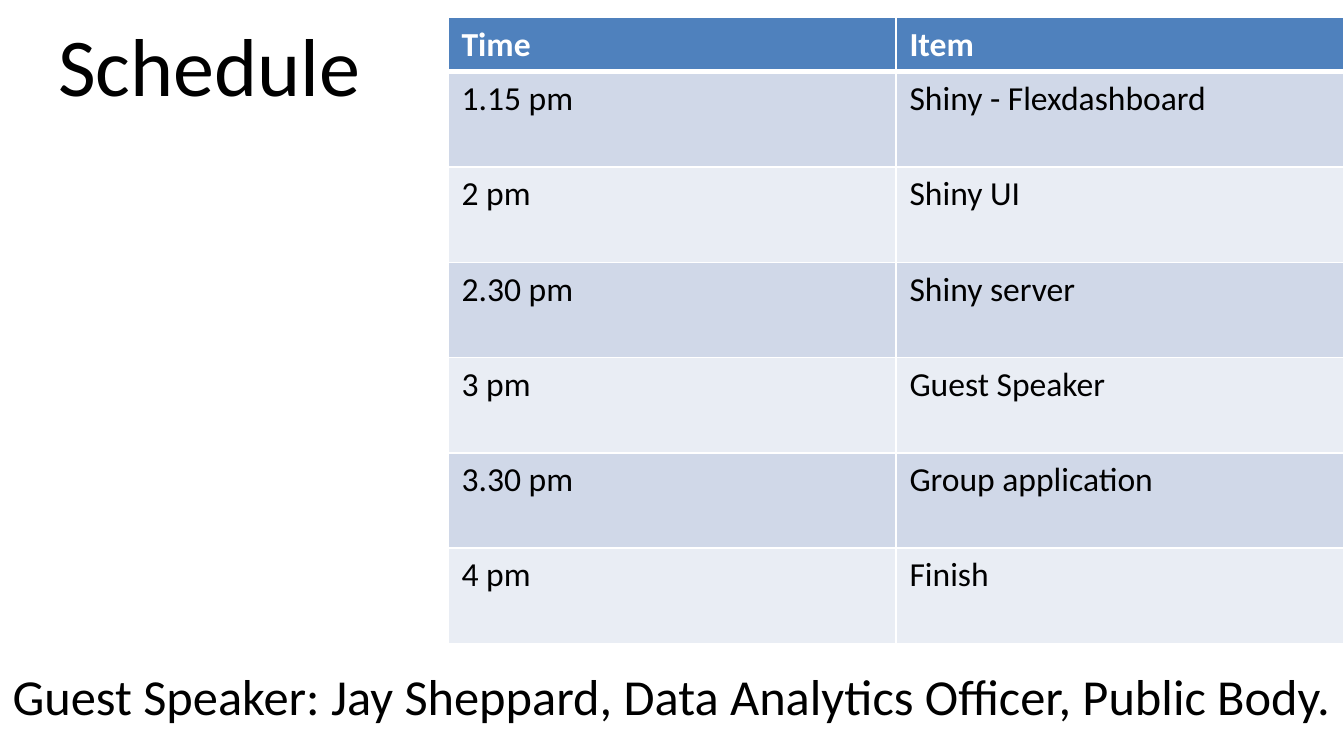
"""Build the workshop schedule slide."""
import pptx
import pptx.dml.color
import pptx.enum.text
import pptx.oxml
import pptx.oxml.ns
import pptx.util
from pptx.util import Cm

ROWS = [
    ("Time", "Item"),
    ("1.15 pm", "Shiny - Flexdashboard"),
    ("2 pm", "Shiny UI"),
    ("2.30 pm", "Shiny server"),
    ("3 pm", "Guest Speaker"),
    ("3.30 pm", "Group application"),
    ("4 pm", "Finish"),
]


def rgb(value):
    return pptx.dml.color.RGBColor.from_string(value)


class Deck:
    font = "Calibri"
    text = "000000"
    white = "FFFFFF"
    header = "4F81BD"
    bands = ("E9EDF4", "D0D8E8")

    def __init__(self, slide):
        self.s = slide

    def format(self, p, size, color, bold=False):
        for r in p.runs:
            r.font.name = self.font
            r.font.size = pptx.util.Pt(size)
            r.font.bold = bold
            r.font.color.rgb = rgb(color)

    def textbox(self, text, left, top, width, height, size, align, spacing=1.0):
        sp = self.s.shapes.add_textbox(Cm(left), Cm(top), Cm(width), Cm(height))
        tf = sp.text_frame
        tf.word_wrap = True
        tf.vertical_anchor = pptx.enum.text.MSO_ANCHOR.MIDDLE
        tf.margin_left = tf.margin_right = Cm(0.19)
        tf.margin_top = tf.margin_bottom = Cm(0.1)
        p = tf.paragraphs[0]
        p.text = text
        p.alignment = align
        p.line_spacing = spacing
        self.format(p, size, color=self.text)

    def border(self, cell, side, width):
        ns = pptx.oxml.ns.nsdecls("a")
        ln = pptx.oxml.parse_xml(
            f'<a:ln{side} {ns} w="{pptx.util.Pt(width)}"><a:solidFill>'
            f'<a:srgbClr val="{self.white}"/></a:solidFill></a:ln{side}>')
        cell._tc.get_or_add_tcPr().append(ln)

    def table(self, rows, left, top, width, header_height, row_height):
        height = header_height + row_height * (len(rows) - 1)
        table = self.s.shapes.add_table(
            len(rows), len(rows[0]), Cm(left), Cm(top), Cm(width), Cm(height)).table
        for i, row in enumerate(rows):
            is_header = i == 0
            table.rows[i].height = Cm(header_height if is_header else row_height)
            for j, text in enumerate(row):
                cell = table.cell(i, j)
                for side in "LRTB":
                    under_header = (i, side) in ((0, "B"), (1, "T"))
                    self.border(cell, side, 3 if under_header else 1)
                cell.fill.solid()
                cell.fill.fore_color.rgb = rgb(self.header if is_header else self.bands[i % 2])
                p = cell.text_frame.paragraphs[0]
                p.text = text
                self.format(p, 18, self.white if is_header else self.text, is_header)


def main():
    prs = pptx.Presentation()
    prs.slide_width, prs.slide_height = Cm(25.4), Cm(14.29)
    deck = Deck(prs.slides.add_slide(prs.slide_layouts[6]))
    align = pptx.enum.text.PP_ALIGN
    deck.textbox("Schedule", -7.47, 0, 22.86, 2.39, 44, align.CENTER)
    deck.textbox("Guest Speaker: Jay Sheppard, Data Analytics Officer, Public Body.",
                 0.05, 11.84, 25.63, 2.77, 27, align.LEFT, spacing=0.9)
    deck.table(ROWS, 8.47, 0.33, 16.93, header_height=1.03, row_height=1.8)
    prs.save("out.pptx")


if __name__ == "__main__":
    main()
